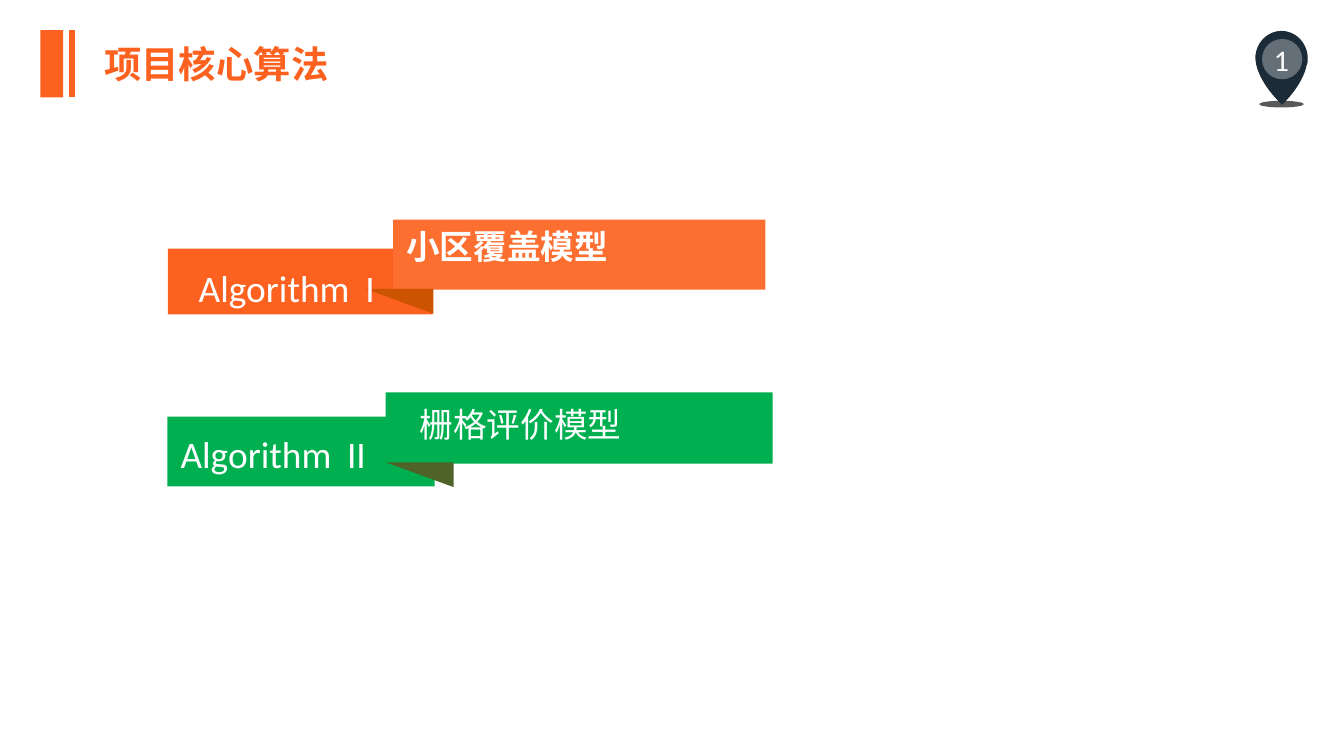
import dataclasses
import typing

import pptx
import pptx.dml.color
import pptx.enum.shapes
import pptx.enum.text
import pptx.oxml
import pptx.oxml.ns
import pptx.util

RGBColor = pptx.dml.color.RGBColor
Kind = pptx.enum.shapes.MSO_SHAPE
Align = pptx.enum.text.PP_ALIGN
Anchor = pptx.enum.text.MSO_ANCHOR

ORANGE = RGBColor(0xFC, 0x61, 0x1F)
LIGHT_ORANGE = RGBColor(0xFC, 0x6F, 0x30)
DARK_ORANGE = RGBColor(0xCC, 0x53, 0x00)
GREEN = RGBColor(0x00, 0xB0, 0x50)
OLIVE = RGBColor(0x4F, 0x62, 0x28)
NAVY = RGBColor(0x1C, 0x2B, 0x38)
GRAY = RGBColor(0x59, 0x59, 0x59)
WHITE = RGBColor(0xFF, 0xFF, 0xFF)

LATIN = "Calibri"
CHINESE = "Noto Sans CJK SC"
COLUMNS, ROWS = 100, 56.25
SLIDE_WIDTH = pptx.util.Inches(10)
SLIDE_HEIGHT = SLIDE_WIDTH * 9 // 16
TAIL_WIDTH, TAIL_HEIGHT = 5.05, 1.85
CURVE_STEPS = 12


class Area(typing.NamedTuple):
    column: float
    row: float
    columns: float
    rows: float


@dataclasses.dataclass(frozen=True)
class Ribbon:
    number: str
    model: str
    label_area: Area
    model_area: Area
    number_area: Area
    name_area: Area
    tail: tuple
    label_fill: RGBColor
    model_fill: RGBColor
    tail_fill: RGBColor
    bold: bool


RIBBONS = (
    Ribbon("I", "小区覆盖模型", Area(12.5, 18.5, 19.7, 4.9), Area(29.25, 16.35, 27.7, 5.2),
           Area(13.8, 18.1, 20.1, 5.7), Area(29.25, 16.35, 27.7, 5.2), (27.2, 21.5),
           ORANGE, LIGHT_ORANGE, DARK_ORANGE, True),
    Ribbon("II", "栅格评价模型", Area(12.45, 31, 19.9, 5.2), Area(28.7, 29.2, 28.8, 5.3),
           Area(12.45, 30.5, 20.1, 5.7), Area(30.25, 29.6, 18.4, 4), (28.7, 34.4),
           GREEN, GREEN, OLIVE, False),
)

PIN_START = (97.3, 4.35)
PIN_CURVES = (
    ((97.3, 3.2), (96.4, 2.3), (95.35, 2.3)),
    ((94.3, 2.3), (93.4, 3.2), (93.4, 4.35)),
    ((93.5, 6.1), (95.4, 7.8), (95.4, 7.8)),
    ((96.6, 6.6), (97.1, 5.5), (97.2, 4.9)),
    ((97.3, 4.7), (97.3, 4.6), PIN_START),
)


def emu(column: float, row: float) -> tuple:
    return round(SLIDE_WIDTH * column / COLUMNS), round(SLIDE_HEIGHT * row / ROWS)


def box(area: Area) -> tuple:
    return emu(area.column, area.row) + emu(area.columns, area.rows)


def apply(target, values: dict) -> None:
    for name, value in values.items():
        setattr(target, name, value)


def paint(shape, color: RGBColor):
    shape.shadow.inherit = False
    shape.fill.solid()
    shape.fill.fore_color.rgb = color
    shape.line.fill.background()
    return shape


def add_filled(shapes, kind, area: Area, color: RGBColor):
    return paint(shapes.add_shape(kind, *box(area)), color)


def add_outline(shapes, points: list, color: RGBColor) -> None:
    corners = [emu(*point) for point in points]
    builder = shapes.build_freeform(*corners[0])
    builder.add_line_segments(corners[1:], close=True)
    paint(builder.convert_to_shape(), color)


def trace(start: tuple, curves: tuple) -> list:
    points = [start]
    for first, second, end in curves:
        for step in range(1, CURVE_STEPS + 1):
            t = step / CURVE_STEPS
            weights = ((1 - t) ** 3, 3 * t * (1 - t) ** 2, 3 * t ** 2 * (1 - t), t ** 3)
            controls = (start, first, second, end)
            points.append(tuple(sum(w * c[axis] for w, c in zip(weights, controls))
                                for axis in (0, 1)))
        start = end
    return points


def write(shape, pieces: list, font: str, color: RGBColor = WHITE, bold: bool = False,
          align=Align.LEFT, anchor=Anchor.TOP, wrap: bool = True) -> None:
    frame = shape.text_frame
    apply(frame, {"word_wrap": wrap, "vertical_anchor": anchor,
                  "auto_size": pptx.enum.text.MSO_AUTO_SIZE.NONE})
    paragraph = frame.paragraphs[0]
    paragraph.alignment = align
    for text, size in pieces:
        run = paragraph.add_run()
        run.text = text
        apply(run.font, {"name": font, "size": pptx.util.Pt(size), "bold": bold})
        run.font.color.rgb = color
        east_asian = pptx.oxml.parse_xml(
            f'<a:ea {pptx.oxml.ns.nsdecls("a")} typeface="{CHINESE}"/>')
        run.font._element.find(pptx.oxml.ns.qn("a:latin")).addnext(east_asian)


def add_pin(shapes) -> None:
    add_filled(shapes, Kind.OVAL, Area(93.7, 7.5, 3.3, 0.5), GRAY)
    add_outline(shapes, trace(PIN_START, PIN_CURVES), NAVY)
    disc = add_filled(shapes, Kind.OVAL, Area(93.9, 2.9, 3, 3), WHITE)
    color = disc.fill._xPr.find(".//" + pptx.oxml.ns.qn("a:srgbClr"))
    color.append(pptx.oxml.parse_xml(
        f'<a:alpha {pptx.oxml.ns.nsdecls("a")} val="32000"/>'))
    number = shapes.add_textbox(*box(Area(83.7, 2.9, 23.3, 3)))
    write(number, [("1", 16)], LATIN, align=Align.CENTER, anchor=Anchor.MIDDLE)


def add_heading(shapes) -> None:
    add_filled(shapes, Kind.RECTANGLE, Area(3, 2.25, 1.7, 5), ORANGE)
    bar = shapes.add_connector(pptx.enum.shapes.MSO_CONNECTOR.STRAIGHT,
                               *emu(5.35, 2.25), *emu(5.35, 7.25))
    bar.line.color.rgb = ORANGE
    bar.line.width = pptx.util.Pt(3)
    bar._element.spPr.append(pptx.oxml.parse_xml(
        f'<a:effectLst {pptx.oxml.ns.nsdecls("a")}/>'))
    title = shapes.title
    apply(title, dict(zip(("left", "top", "width", "height"), box(Area(6.7, 2.6, 18.8, 4.4)))))
    write(title, [("项目核心算法", 20)], CHINESE, ORANGE, True, Align.CENTER, wrap=False)


def add_ribbon(shapes, ribbon: Ribbon) -> None:
    add_filled(shapes, Kind.RECTANGLE, ribbon.label_area, ribbon.label_fill)
    add_filled(shapes, Kind.RECTANGLE, ribbon.model_area, ribbon.model_fill)
    column, row = ribbon.tail
    right = column + TAIL_WIDTH
    add_outline(shapes, [(right, row), (column, row), (right, row + TAIL_HEIGHT)],
                ribbon.tail_fill)
    number = shapes.add_textbox(*box(ribbon.number_area))
    write(number, [("Algorithm", 20), (" ", 28), (ribbon.number, 20)], LATIN)
    gap = number.text_frame.paragraphs[0].runs[1]
    gap.font._element.set("spc", "200")
    name = shapes.add_textbox(*box(ribbon.name_area))
    write(name, [(ribbon.model, 18)], CHINESE, bold=ribbon.bold)


def main() -> None:
    deck = pptx.Presentation()
    apply(deck, {"slide_width": SLIDE_WIDTH, "slide_height": SLIDE_HEIGHT})
    shapes = deck.slides.add_slide(deck.slide_layouts.get_by_name("Title Only")).shapes
    add_pin(shapes)
    add_heading(shapes)
    for ribbon in RIBBONS:
        add_ribbon(shapes, ribbon)
    deck.save("out.pptx")


if __name__ == "__main__":
    main()
